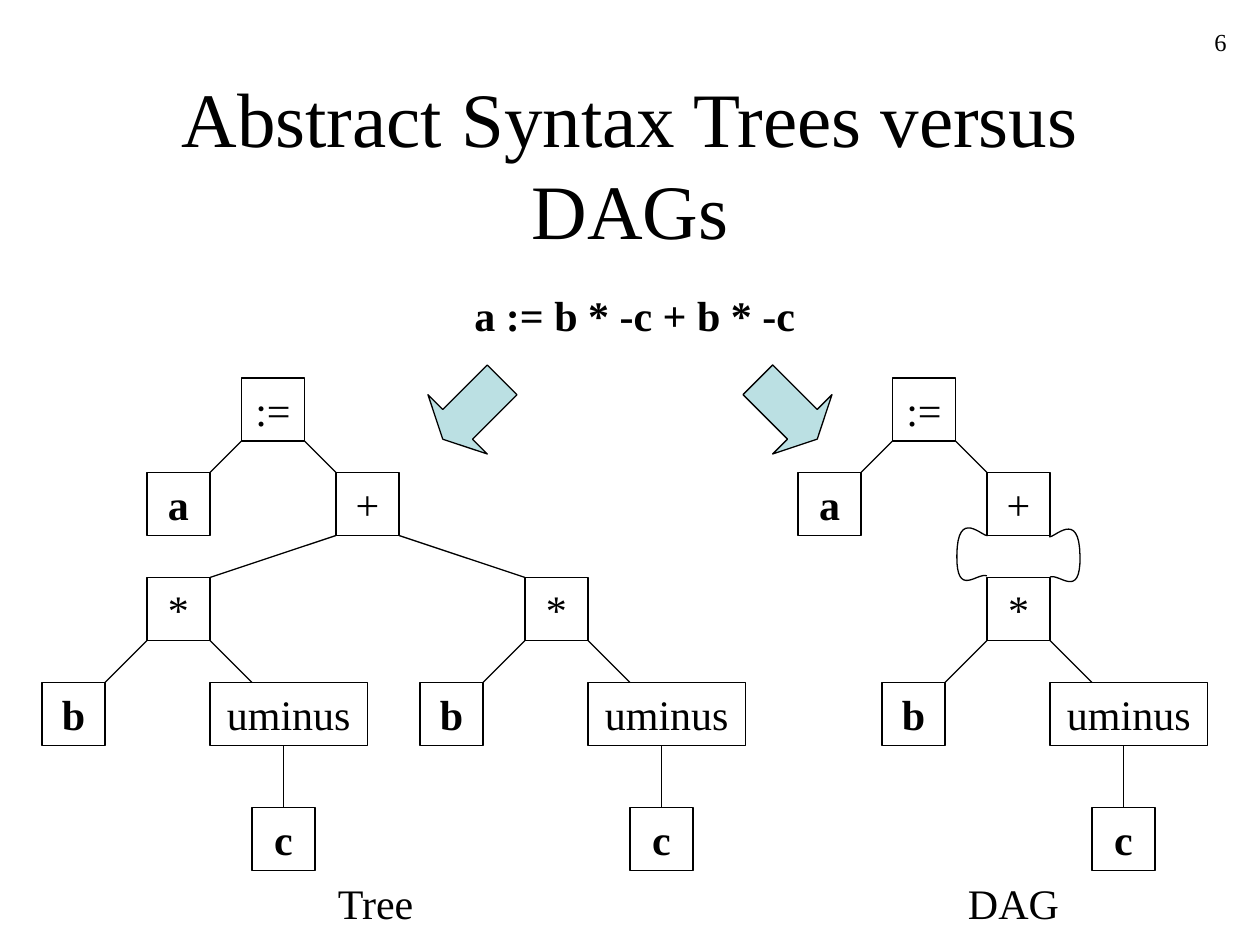
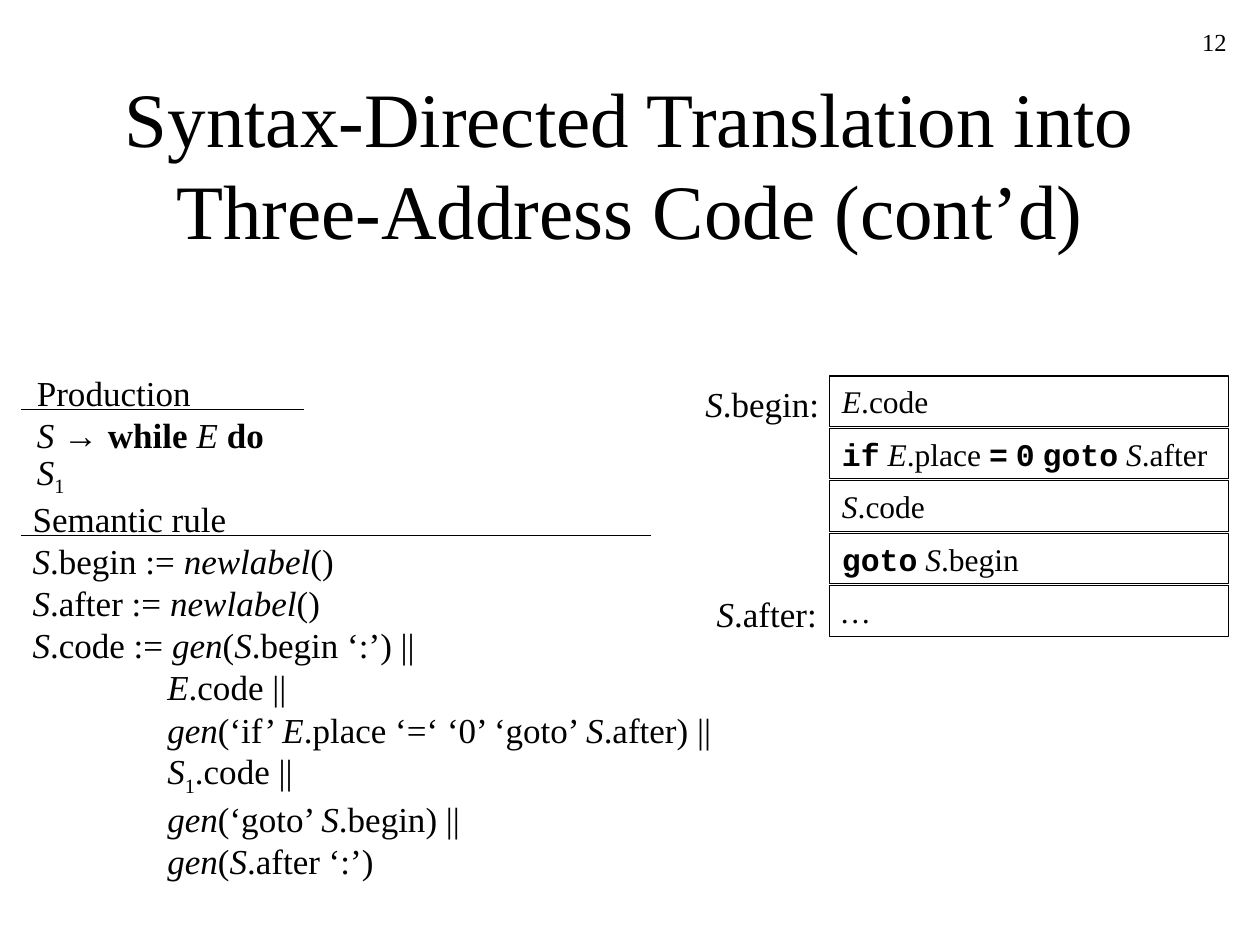
from lxml import etree
from pptx import Presentation
from pptx.dml.color import RGBColor
from pptx.enum.shapes import MSO_CONNECTOR, MSO_SHAPE
from pptx.enum.text import MSO_ANCHOR, MSO_AUTO_SIZE, PP_ALIGN
from pptx.oxml.ns import qn
from pptx.util import Pt

INK, ARROW_FILL = "000000", "BBE0E3"
SERIF = "Times New Roman"
LEFT, CENTER, RIGHT = PP_ALIGN.LEFT, PP_ALIGN.CENTER, PP_ALIGN.RIGHT
color = RGBColor.from_string

# Run formats, named by the key that stands in braces before each run
FORMATS = {
    "n": {"name": SERIF},
    "i": {"name": SERIF, "italic": True},
    "b": {"name": SERIF, "bold": True},
    "arrow": {"name": "Arial"},
    "code": {"name": "Courier New", "bold": True},
    "sub": {"name": SERIF},
}


def write(shape, lines, size, align=LEFT, anchor=MSO_ANCHOR.TOP):
    """Fill a shape with lines of marked-up text such as "{i}S{n}.code"."""
    frame = shape.text_frame
    frame_format = {"word_wrap": True, "auto_size": MSO_AUTO_SIZE.NONE, "vertical_anchor": anchor}
    for name, value in frame_format.items():
        setattr(frame, name, value)
    for number, line in enumerate(lines):
        paragraph = frame.add_paragraph() if number else frame.paragraphs[0]
        paragraph.alignment = align
        paragraph.line_spacing = Pt(1.2 * size)
        for part in line.split("{")[1:]:
            key, text = part.split("}")
            run = paragraph.add_run()
            run.text = text
            run.font.size = Pt(size)
            run.font.color.rgb = color(INK)
            for name, value in FORMATS[key].items():
                setattr(run.font, name, value)
            if key == "sub":
                run.font._element.set("baseline", "-25000")


def outline(shape, fill=None):
    """Give a shape a thin outline, no shadow, and a fill if one is named."""
    shape.line.color.rgb = color(INK)
    shape.line.width = Pt(0.75)
    shape.shadow.inherit = False
    if fill:
        shape.fill.solid()
        shape.fill.fore_color.rgb = color(fill)
    else:
        shape.fill.background()


deck = Presentation()
deck.slide_width, deck.slide_height = Pt(720), Pt(540)

# Titles and page numbers
slides = []
for heading, page in [
    ("Abstract Syntax Trees versus DAGs", "6"),
    ("Syntax-Directed Translation into Three-Address Code (cont’d)", "12"),
]:
    slide = deck.slides.add_slide(deck.slide_layouts[5])
    title = slide.shapes.title
    title.left, title.top, title.width, title.height = Pt(54), Pt(48), Pt(612), Pt(90)
    write(title, ["{n}" + heading], 44, CENTER, MSO_ANCHOR.MIDDLE)
    page_number = slide.shapes.add_textbox(Pt(558), Pt(12), Pt(150), Pt(36))
    write(page_number, ["{n}" + page], 14, RIGHT)
    slides.append(slide)
syntax, translation = (slide.shapes for slide in slides)

# Nodes (text, left, top, width) and edges of the tree and the DAG
nodes, edges = [], [(192, 306, 120, 330), (228, 306, 300, 330)]
for x in (138, 510):
    nodes += [("{n}:=", x, 216, 36), ("{b}a", x - 54, 270, 36), ("{n}+", x + 54, 270, 36)]
    edges += [(x, 252, x - 18, 270), (x + 36, 252, x + 54, 270)]
for x in (84, 300, 564):
    nodes += [("{n}*", x, 330, 36), ("{b}b", x - 60, 390, 36),
              ("{n}uminus", x + 36, 390, 90), ("{b}c", x + 60, 461.5, 36)]
    edges += [(x, 366, x - 24, 390), (x + 36, 366, x + 60, 390), (x + 78, 426, x + 78, 462)]
for text, x, y, width in nodes:
    node = syntax.add_shape(MSO_SHAPE.RECTANGLE, Pt(x), Pt(y), Pt(width), Pt(36))
    outline(node)
    write(node, [text], 24, CENTER)

# Two curved edges of the DAG, mirrored about the middle of its + node
first_curve = [(17.5, 306.7), (20, 308.2), (35, 290.2), (35.2, 318.2)]
second_curve = [(35.2, 318.2), (35.5, 342.7), (23.5, 327.6), (18, 329.8)]
for side, rise in ((1, 0), (-1, 0.7)):
    points = []
    for curve in (first_curve, second_curve):
        for step in range(17):
            t = step / 16
            weights = ((1 - t) ** 3, 3 * t * (1 - t) ** 2, 3 * t * t * (1 - t), t ** 3)
            x, y = (sum(w * p[axis] for w, p in zip(weights, curve)) for axis in (0, 1))
            points.append((Pt(582 + side * x), Pt(y - rise)))
    builder = syntax.build_freeform(*points[0])
    builder.add_line_segments(points[1:], close=False)
    outline(builder.convert_to_shape())

# Block arrows from the statement to both graphs
for x, angle in ((426, 45), (246, 135)):
    arrow = syntax.add_shape(MSO_SHAPE.RIGHT_ARROW, Pt(x), Pt(210), Pt(48), Pt(48))
    arrow.adjustments[0], arrow.adjustments[1] = 0.5, 0.25
    arrow.rotation = angle
    outline(arrow, ARROW_FILL)

# Straight lines: graph edges, then the rules under the two headings
rules = [(12, 306, 372, 306), (12, 234, 174, 234)]
for shapes, lines in ((syntax, edges), (translation, rules)):
    for ends in lines:
        line = shapes.add_connector(MSO_CONNECTOR.STRAIGHT, *map(Pt, ends))
        line.line.color.rgb = color(INK)
        line.line.width = Pt(0.75)
        etree.SubElement(line._element.spPr, qn("a:effectLst"))

# Layout of the generated code, with narrow serif spaces between the code words
for row, code in enumerate([
    "{i}E{n}.code",
    "{code}if{i} E{n}.place {code}={b} {code}0{b} {code}goto{i} S{n}.after",
    "{i}S{n}.code",
    "{code}goto{i} S{n}.begin",
    "{i}…",
]):
    cell = translation.add_shape(MSO_SHAPE.RECTANGLE, Pt(474), Pt(214.8 + 30 * row), Pt(228), Pt(28.8))
    outline(cell)
    write(cell, [code], 18)

# Captions, labels and the production
for shapes, x, y, width, height, size, lines in [
    (syntax, 186, 498, 66, 36, 24, ["{n}Tree"]),
    (syntax, 546, 498, 76, 36, 24, ["{n}DAG"]),
    (syntax, 264, 162, 204, 36, 24, ["{b}a := b * -c + b * -c"]),
    (translation, 396, 214.8, 84, 31.5, 20, ["{i}S{n}.begin:"]),
    (translation, 402.5, 334.8, 78, 31.5, 20, ["{i}S{n}.after:"]),
    (translation, 14, 209, 160, 80, 20,
     ["{n}Production", "{i}S {arrow}→ {b}while {i}E {b}do {i}S{sub}1"]),
]:
    label = shapes.add_textbox(Pt(x), Pt(y), Pt(width), Pt(height))
    write(label, lines, size)

# Semantic rule, with the continued lines indented
semantic_rule = translation.add_textbox(Pt(11.5), Pt(281), Pt(420), Pt(227))
write(semantic_rule, [
    "{n}Semantic rule",
    "{i}S{n}.begin := {i}newlabel{n}()",
    "{i}S{n}.after := {i}newlabel{n}()",
    "{i}S{n}.code := {i}gen{n}({i}S{n}.begin ‘:’) ||",
    "{i}E{n}.code ||",
    "{i}gen{n}(‘if’ {i}E{n}.place ‘=‘ ‘0’ ‘goto’ {i}S{n}.after) ||",
    "{i}S{sub}1{n}.code ||",
    "{i}gen{n}(‘goto’ {i}S{n}.begin) ||",
    "{i}gen{n}({i}S{n}.after ‘:’)",
], 20)
rule_lines = semantic_rule.text_frame.paragraphs
for continued in rule_lines[4:]:
    continued._p.get_or_add_pPr().set("marL", str(Pt(77)))
rule_lines[6].line_spacing = Pt(27)  # room for the subscript

deck.save("out.pptx")
